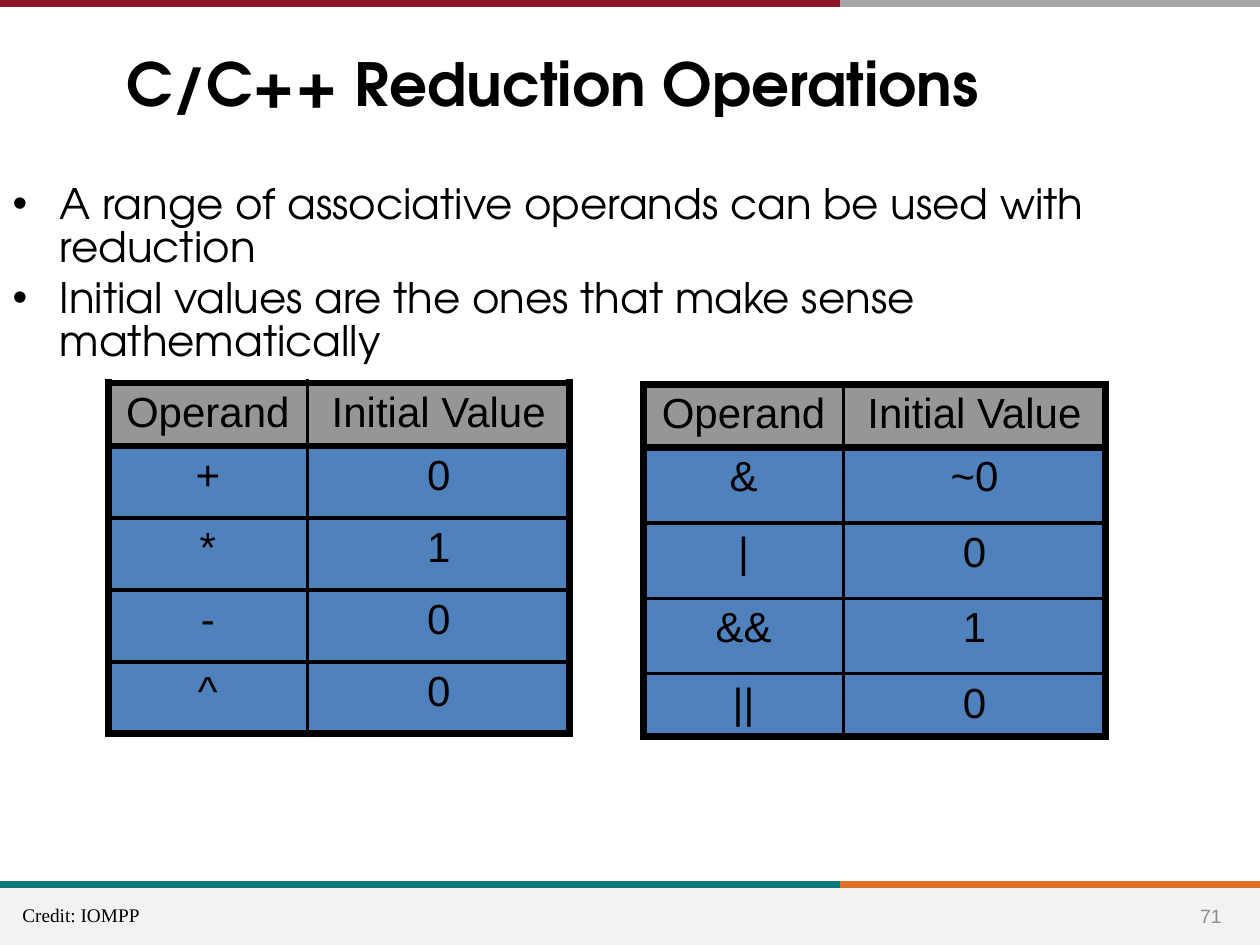
"""Build the slide on C/C++ reduction operations."""
from lxml import etree
from pptx import Presentation
from pptx.dml.color import RGBColor
from pptx.enum.shapes import MSO_CONNECTOR, MSO_SHAPE
from pptx.enum.text import MSO_ANCHOR, MSO_AUTO_SIZE, PP_ALIGN
from pptx.oxml import parse_xml
from pptx.oxml.ns import nsdecls, qn
from pptx.util import Cm, Pt

STRAIGHT = MSO_CONNECTOR.STRAIGHT
RECTANGLE = MSO_SHAPE.RECTANGLE
LEFT, CENTER = PP_ALIGN.LEFT, PP_ALIGN.CENTER
TOP, MIDDLE = MSO_ANCHOR.TOP, MSO_ANCHOR.MIDDLE
FIXED = MSO_AUTO_SIZE.NONE

WIDTH, HEIGHT = 25.4, 19.05
SPLIT = 16.93
THICK, THIN = 4.5, 2.25


def color(value):
    return RGBColor.from_string(value)


class SlideBuilder:
    heading_font = "TeX Gyre Adventor"
    table_font = "Arial"
    credit_font = "Times New Roman"
    text_color = "000000"
    header_fill = "969696"
    cell_fill = "4F81BD"

    def __init__(self, slide):
        self.slide = slide

    def format(self, paragraph, name, size, value=text_color, align=LEFT, bold=False):
        paragraph.alignment = align
        font = paragraph.font
        font.name, font.size, font.bold = name, Pt(size), bold
        font.color.rgb = color(value)

    def place(self, shape, left, top, width, height):
        shape.left, shape.top = Cm(left), Cm(top)
        shape.width, shape.height = Cm(width), Cm(height)

    def line(self, start, end, y, value):
        connector = self.slide.shapes.add_connector(STRAIGHT, Cm(start), Cm(y), Cm(end), Cm(y))
        connector.line.color.rgb = color(value)
        connector.line.width = Pt(4)
        etree.SubElement(connector._element.spPr, qn("a:effectLst"))

    def band(self, top, height, value):
        shape = self.slide.shapes.add_shape(RECTANGLE, 0, Cm(top), Cm(WIDTH), Cm(height))
        shape.shadow.inherit = False
        shape.fill.solid()
        shape.fill.fore_color.rgb = color(value)
        shape.line.fill.background()

    def title(self, text, *box):
        shape = self.slide.shapes.title
        self.place(shape, *box)
        frame = shape.text_frame
        frame.text = text
        frame.auto_size, frame.vertical_anchor = FIXED, MIDDLE
        self.format(frame.paragraphs[0], self.heading_font, 34, bold=True)

    def bullets(self, items, *box):
        shape = self.slide.placeholders[1]
        self.place(shape, *box)
        frame = shape.text_frame
        frame.text = "\n".join(items)
        frame.auto_size, frame.vertical_anchor = FIXED, TOP
        for index, paragraph in enumerate(frame.paragraphs):
            properties = paragraph._p.get_or_add_pPr()
            properties.set("marL", str(Cm(0.95)))
            properties.set("indent", str(Cm(-0.95)))
            properties.append(parse_xml(f'<a:buFont {nsdecls("a")} typeface="Arial"/>'))
            properties.append(parse_xml(f'<a:buChar {nsdecls("a")} char="•"/>'))
            paragraph.line_spacing = 0.85
            paragraph.space_before = Pt(4.8 if index else 0)
            self.format(paragraph, self.heading_font, 24)

    def label(self, text, box, name, value=text_color, align=LEFT, wrap=True):
        shape = self.slide.shapes.add_textbox(*map(Cm, box))
        frame = shape.text_frame
        frame.text, frame.word_wrap = text, wrap
        frame.vertical_anchor = MIDDLE
        self.format(frame.paragraphs[0], name, 11, value, align)

    def border(self, cell, side, width):
        cell._tc.get_or_add_tcPr().append(parse_xml(
            f'<a:{side} {nsdecls("a")} w="{Pt(width)}"><a:solidFill>'
            f'<a:srgbClr val="{self.text_color}"/></a:solidFill></a:{side}>'))

    def table(self, rows, left, top, height, row_heights):
        widths = (4.02, 5.29)
        frame = self.slide.shapes.add_table(
            len(rows), len(widths), Cm(left), Cm(top), Cm(sum(widths)), Cm(height))
        table = frame.table
        table.first_row = table.horz_banding = False
        for column, width in zip(table.columns, widths):
            column.width = Cm(width)
        for row, row_height in zip(table.rows, row_heights):
            row.height = Cm(row_height)
        frame.height = Cm(height)
        for r, values in enumerate(rows):
            for c, text in enumerate(values):
                cell = table.cell(r, c)
                cell.text = text
                self.format(cell.text_frame.paragraphs[0], self.table_font, 24, align=CENTER)
                thick_sides = {"lnL": c == 0, "lnR": c == len(widths) - 1,
                               "lnT": r <= 1, "lnB": r in (0, len(rows) - 1)}
                for side, thick in thick_sides.items():
                    self.border(cell, side, THICK if thick else THIN)
                cell.fill.solid()
                cell.fill.fore_color.rgb = color(self.cell_fill if r else self.header_fill)


def main():
    presentation = Presentation()
    presentation.slide_width, presentation.slide_height = Cm(WIDTH), Cm(HEIGHT)
    builder = SlideBuilder(presentation.slides.add_slide(presentation.slide_layouts[1]))

    builder.line(SPLIT, WIDTH, 17.83, "DF7023")
    builder.line(0, SPLIT, 17.83, "0F787D")
    builder.band(17.91, 1.14, "F2F2F2")
    builder.line(SPLIT, WIDTH, 0.07, "A6A6A6")
    builder.line(0, SPLIT, 0.07, "90152A")

    builder.title("C/C++ Reduction Operations", 2.29, 0.79, 20.96, 1.75)
    builder.label("71", (23.75, 17.96, 1.32, 1.02), builder.table_font, "8C8C8C", CENTER)
    builder.bullets([
        "A range of associative operands can be used with reduction",
        "Initial values are the ones that make sense mathematically",
    ], 0, 3.61, 24.33, 2.82)

    header = ("Operand", "Initial Value")
    builder.table([header, ("+", "0"), ("*", "1"), ("-", "0"), ("^", "0")],
                  2.18, 7.72, 7.06, [1.14] + [1.45] * 4)
    builder.table([header, ("&", "~0"), ("|", "0"), ("&&", "1"), ("||", "0")],
                  12.98, 7.75, 7.11, [1.24] + [1.52] * 3 + [0.94])
    builder.label("Credit: IOMPP", (0.2, 18.08, 2.9, 0.74), builder.credit_font, wrap=False)

    presentation.save("out.pptx")


if __name__ == "__main__":
    main()
